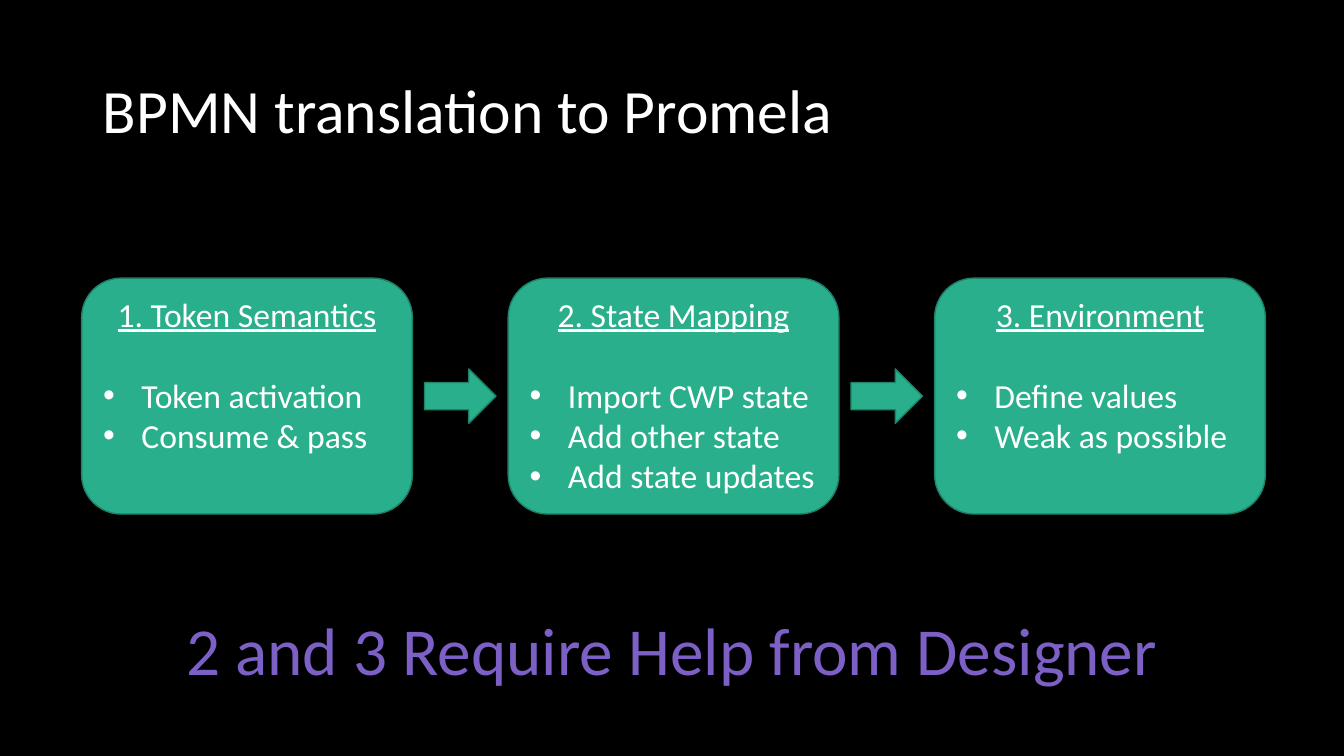
"""Build the slide on translating BPMN to Promela in three steps."""
import pptx
import pptx.dml.color
import pptx.enum.shapes
import pptx.enum.text
import pptx.oxml.ns
import pptx.util
import lxml.etree

Inches = pptx.util.Inches
Pt = pptx.util.Pt
SHAPES = pptx.enum.shapes.MSO_SHAPE
ALIGN = pptx.enum.text.PP_ALIGN
ANCHOR = pptx.enum.text.MSO_ANCHOR

TITLE = "BPMN translation to Promela"
STEPS = [
    ("1. Token Semantics", ["Token activation", "Consume & pass"]),
    ("2. State Mapping", ["Import CWP state", "Add other state", "Add state updates"]),
    ("3. Environment", ["Define values", "Weak as possible"]),
]
CONCLUSION = "2 and 3 Require Help from Designer"

COLORS = {
    "background": "000000",
    "text": "FFFFFF",
    "step": "29AF8C",
    "outline": "1E8168",
    "conclusion": "7C60C6",
}
HEADING = {"size": Pt(24), "underline": True}
BULLET = {"size": Pt(24)}
STEP_LEFT, STEP_TOP, STEP_WIDTH, STEP_HEIGHT = 0.81, 2.76, 3.28, 2.34
STEP_PITCH = 4.23
ARROW_WIDTH, ARROW_HEIGHT = 0.71, 0.54
BULLET_INDENT = 0.38


def color(name):
    return pptx.dml.color.RGBColor.from_string(COLORS[name])


def write(para, text, color_name, font_format):
    span = para.add_run()
    span.text = text
    span.font.name = "Calibri"
    span.font.color.rgb = color(color_name)
    for name, value in font_format.items():
        setattr(span.font, name, value)


def add_bullet(para):
    properties = para._p.get_or_add_pPr()
    properties.set("marL", str(Inches(BULLET_INDENT)))
    properties.set("indent", str(-Inches(BULLET_INDENT)))
    lxml.etree.SubElement(properties, pptx.oxml.ns.qn("a:buFont"), typeface="Arial")
    lxml.etree.SubElement(properties, pptx.oxml.ns.qn("a:buChar"), char="•")


def add_green_shape(page, kind, left, top, width, height):
    shape = page.shapes.add_shape(kind, *map(Inches, (left, top, width, height)))
    shape.shadow.inherit = False
    shape.fill.solid()
    shape.fill.fore_color.rgb = color("step")
    shape.line.color.rgb = color("outline")
    shape.line.width = Pt(1)
    return shape


def add_step(page, left, heading, bullets):
    box = add_green_shape(page, SHAPES.ROUNDED_RECTANGLE, left, STEP_TOP, STEP_WIDTH, STEP_HEIGHT)
    frame = box.text_frame
    frame.word_wrap = True
    frame.vertical_anchor = ANCHOR.TOP
    frame.margin_top = Inches(0.04)
    para = frame.paragraphs[0]
    para.alignment = ALIGN.CENTER
    para.space_after = Pt(29)
    write(para, heading, "text", HEADING)
    for bullet in bullets:
        para = frame.add_paragraph()
        para.alignment = ALIGN.LEFT
        add_bullet(para)
        write(para, bullet, "text", BULLET)


def main():
    deck = pptx.Presentation()
    deck.slide_width, deck.slide_height = Inches(13.33), Inches(7.5)
    page = deck.slides.add_slide(deck.slide_layouts[5])
    page.background.fill.solid()
    page.background.fill.fore_color.rgb = color("background")

    title = page.shapes.title
    title.left, title.top, title.width, title.height = map(Inches, (0.92, 0.4, 11.5, 1.45))
    title.text_frame.vertical_anchor = ANCHOR.MIDDLE
    para = title.text_frame.paragraphs[0]
    para.alignment = ALIGN.LEFT
    para.line_spacing = 0.9
    write(para, TITLE, "text", {"size": Pt(44)})

    for index, (heading, bullets) in enumerate(STEPS):
        add_step(page, STEP_LEFT + index * STEP_PITCH, heading, bullets)

    gap = STEP_PITCH - STEP_WIDTH
    arrow_top = STEP_TOP + (STEP_HEIGHT - ARROW_HEIGHT) / 2
    for index in range(len(STEPS) - 1):
        gap_left = STEP_LEFT + index * STEP_PITCH + STEP_WIDTH
        arrow_left = gap_left + (gap - ARROW_WIDTH) / 2
        add_green_shape(page, SHAPES.RIGHT_ARROW, arrow_left, arrow_top, ARROW_WIDTH, ARROW_HEIGHT)

    box = page.shapes.add_textbox(*map(Inches, (1.31, 5.99, 10.71, 0.91)))
    box.text_frame.word_wrap = True
    para = box.text_frame.paragraphs[0]
    para.alignment = ALIGN.CENTER
    write(para, CONCLUSION, "conclusion", {"size": Pt(48)})

    deck.save("out.pptx")


if __name__ == "__main__":
    main()
